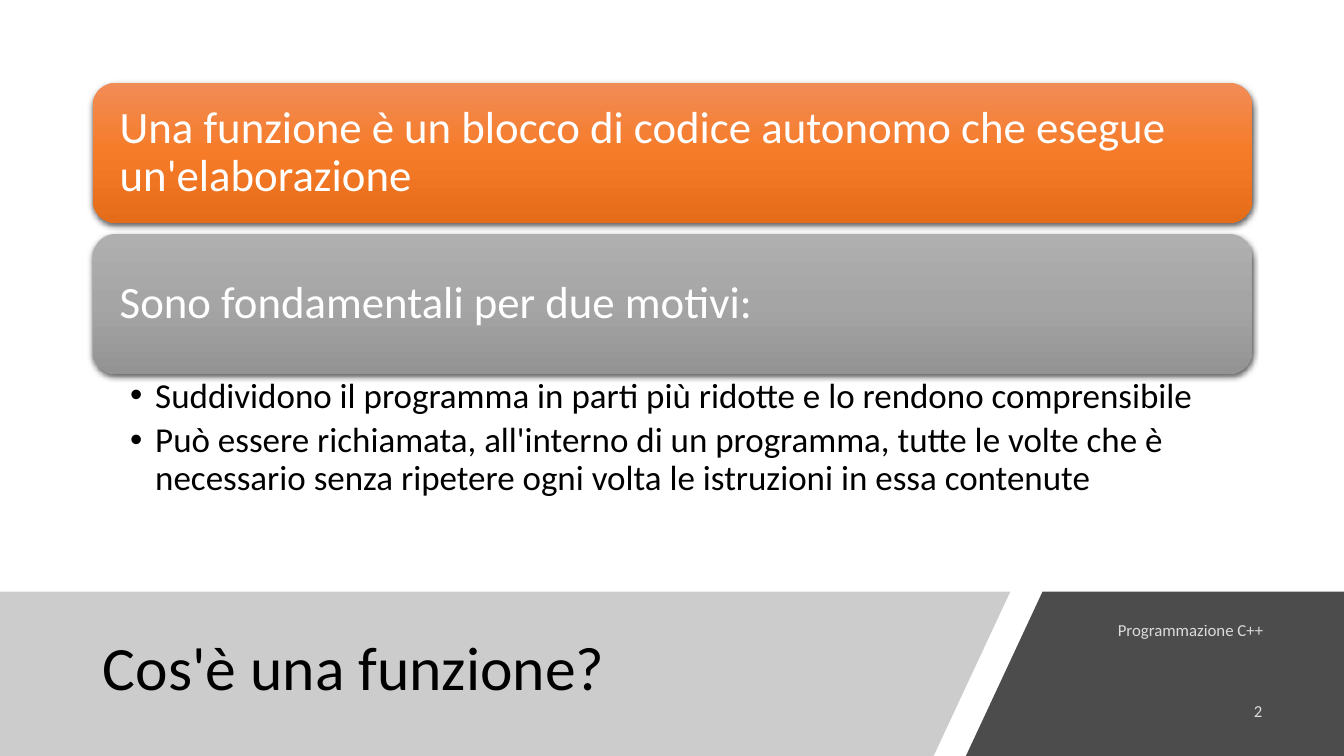
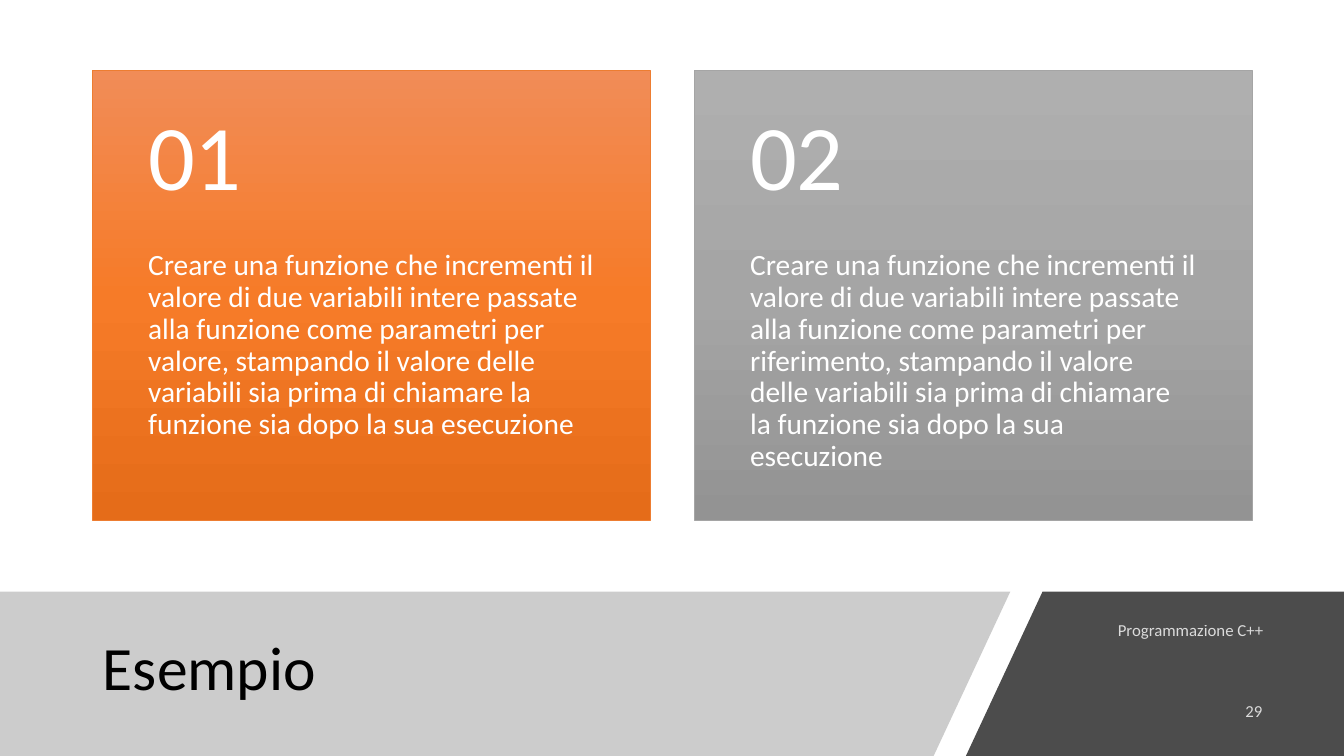
import pptx
import pptx.dml.color
import pptx.enum.shapes
import pptx.enum.text
import pptx.oxml
import pptx.oxml.ns
import pptx.util
from lxml import etree

Inches = pptx.util.Inches
Pt = pptx.util.Pt
qn = pptx.oxml.ns.qn
Anchor = pptx.enum.text.MSO_ANCHOR
Align = pptx.enum.text.PP_ALIGN
Preset = pptx.enum.shapes.MSO_SHAPE

FONT = "Calibri"
BLACK, WHITE, GREY = "000000", "FFFFFF", "808080"
ORANGE_GRADIENT = ("F18C57", "F67B28", "E56C19")
GREY_GRADIENT = ("AFAFAF", "A5A5A5", "939393")
COURSE = "Programmazione C++"
SLIDE_W, SLIDE_H = 13.33, 7.5
BAND_TOP = 5.87
LEFT, CONTENT_W = 0.92, 11.5


def paint(color_format, color, opacity=100):
    color_format.rgb = pptx.dml.color.RGBColor.from_string(color)
    if opacity < 100:
        srgb = color_format._xFill.find(qn("a:srgbClr"))
        etree.SubElement(srgb, qn("a:alpha"), val=str(opacity * 1000))


def fill_gradient(shape, colors):
    """Spread the colours evenly from top to bottom."""
    shape.fill.gradient()
    shape.fill.gradient_angle = 270
    stops = shape._element.spPr.find(qn("a:gradFill")).find(qn("a:gsLst"))
    for stop in list(stops):
        stops.remove(stop)
    for i, color in enumerate(colors):
        position = 100000 * i // (len(colors) - 1)
        stop = etree.SubElement(stops, qn("a:gs"), pos=str(position))
        etree.SubElement(stop, qn("a:srgbClr"), val=color)


def add_soft_shadow(shape):
    effects = shape._element.spPr.find(qn("a:effectLst"))
    shadow = etree.SubElement(
        effects, qn("a:outerShdw"), blurRad=str(Pt(4.5)), dist=str(Pt(1.5)),
        dir="5400000", algn="ctr", rotWithShape="0")
    color = etree.SubElement(shadow, qn("a:srgbClr"), val=BLACK)
    etree.SubElement(color, qn("a:alpha"), val="63000")


def add_panel(slide, preset, box, colors):
    panel = slide.shapes.add_shape(preset, *map(Inches, box))
    panel.shadow.inherit = False
    panel.line.fill.background()
    fill_gradient(panel, colors)
    return panel


def add_bullet(paragraph, indent):
    properties = paragraph._p.get_or_add_pPr()
    properties.set("marL", str(Inches(indent)))
    properties.set("indent", str(-Inches(indent)))
    etree.SubElement(properties, qn("a:buFont"), typeface="Arial")
    etree.SubElement(properties, qn("a:buChar"), char="•")


def write(shape, lines, size, color, insets=(0.1, 0.05, 0.1, 0.05),
          anchor=Anchor.MIDDLE, align=Align.LEFT, spacing=0.9, after=0,
          opacity=100, bullet_indent=None):
    frame = shape.text_frame
    frame.text = "\n".join(lines)
    frame.word_wrap = True
    frame.auto_size = pptx.enum.text.MSO_AUTO_SIZE.NONE
    frame.vertical_anchor = anchor
    (frame.margin_left, frame.margin_top,
     frame.margin_right, frame.margin_bottom) = map(Inches, insets)
    for paragraph in frame.paragraphs:
        paragraph.alignment = align
        paragraph.line_spacing = spacing
        paragraph.space_before = Pt(0)
        paragraph.space_after = Pt(after)
        if bullet_indent:
            add_bullet(paragraph, bullet_indent)
        for run in paragraph.runs:
            run.font.name = FONT
            run.font.size = Pt(size)
            run.font.fill.solid()
            paint(run.font.fill.fore_color, color, opacity)


def add_text(slide, box, lines, size, color, **style):
    write(slide.shapes.add_textbox(*map(Inches, box)), lines, size, color, **style)


def add_band(slide, corners, color, opacity):
    points = [(Inches(x), Inches(y)) for x, y in corners]
    builder = slide.shapes.build_freeform(*points[0])
    builder.add_line_segments(points[1:], close=True)
    band = builder.convert_to_shape()
    band.shadow.inherit = False
    band.line.fill.background()
    band.fill.solid()
    paint(band.fill.fore_color, color, opacity)


def add_titled_slide(deck, title_text, number):
    slide = deck.slides.add_slide(deck.slide_layouts[5])
    add_band(slide, [(0, BAND_TOP), (10.02, BAND_TOP), (9.26, SLIDE_H),
                     (0, SLIDE_H)], GREY, 40)
    add_band(slide, [(10.34, BAND_TOP), (SLIDE_W, BAND_TOP), (SLIDE_W, SLIDE_H),
                     (9.58, SLIDE_H)], BLACK, 70)

    title = slide.shapes.title
    title.left, title.top, title.width, title.height = map(
        Inches, (LEFT, 6.05, 8.44, 1.2))
    write(title, [title_text], 44, BLACK)
    slide.shapes._spTree.append(title._element)  # in front of the bands

    for box, label in (((10.3, 6.05, 2.33, 0.4), COURSE),
                       ((11.15, 6.85, 1.47, 0.4), str(number))):
        add_text(slide, box, [label], 12, WHITE, align=Align.RIGHT,
                 spacing=1.0, after=6, opacity=80)
    return slide


def add_statement(slide, box, statement, colors):
    bar = add_panel(slide, Preset.ROUNDED_RECTANGLE, box, colors)
    add_soft_shadow(bar)
    write(bar, [statement], 32, WHITE, insets=(0.2, 0.2, 0.2, 0.2))


def add_statement_list(slide, box, statements, reasons):
    """Stack the statement bars, with the reasons under the last one."""
    left, top, width, height = box
    bar_h, pitch = 1.39, 1.5
    for i, (statement, colors) in enumerate(statements):
        add_statement(slide, (left, top + i * pitch, width, bar_h), statement, colors)
    reasons_top = top + (len(statements) - 1) * pitch + bar_h
    add_text(slide, (left, reasons_top, width, top + height - reasons_top),
             reasons, 25, BLACK, insets=(0.37, 0.04, 0.25, 0.04),
             anchor=Anchor.TOP, after=5, bullet_indent=0.25)


def add_exercise_card(slide, box, number, task, colors):
    left, top, width, height = box
    number_h = 0.4 * height
    card = add_panel(slide, Preset.RECTANGLE, box, colors)
    card.line.fill.solid()
    paint(card.line.fill.fore_color, "ED7D31" if colors == ORANGE_GRADIENT else colors[1])
    card.line.width = Pt(0.5)
    add_text(slide, (left, top + number_h, width, height - number_h), [task],
             21, WHITE, insets=(0.55, 0, 0.55, 0.36), anchor=Anchor.TOP)
    add_text(slide, (left, top, width, number_h), [number],
             66, WHITE, insets=(0.55, 0.18, 0.55, 0.18))


def add_exercise_cards(slide, box, exercises, gap=0.44):
    left, top, width, height = box
    card_w = (width - gap * (len(exercises) - 1)) / len(exercises)
    for i, (task, colors) in enumerate(exercises):
        add_exercise_card(slide, (left + i * (card_w + gap), top, card_w, height),
                          f"{i + 1:02}", task, colors)


def main():
    deck = pptx.Presentation()
    deck.slide_width, deck.slide_height = Inches(SLIDE_W), Inches(SLIDE_H)

    definition = add_titled_slide(deck, "Cos'è una funzione?", 2)
    add_statement_list(
        definition, (LEFT, 0.82, CONTENT_W, 4.23),
        [("Una funzione è un blocco di codice autonomo che esegue un'elaborazione",
          ORANGE_GRADIENT),
         ("Sono fondamentali per due motivi:", GREY_GRADIENT)],
        ["Suddividono il programma in parti più ridotte e lo rendono comprensibile",
         "Può essere richiamata, all'interno di un programma, tutte le volte che è "
         "necessario senza ripetere ogni volta le istruzioni in essa contenute"])

    example = add_titled_slide(deck, "Esempio", 29)
    task = ("Creare una funzione che incrementi il valore di due variabili intere "
            "passate alla funzione come parametri per {}, stampando il valore delle "
            "variabili sia prima di chiamare la funzione sia dopo la sua esecuzione")
    add_exercise_cards(
        example, (LEFT, 0.7, CONTENT_W, 4.46),
        [(task.format("valore"), ORANGE_GRADIENT),
         (task.format("riferimento"), GREY_GRADIENT)])

    deck.save("out.pptx")


if __name__ == "__main__":
    main()
